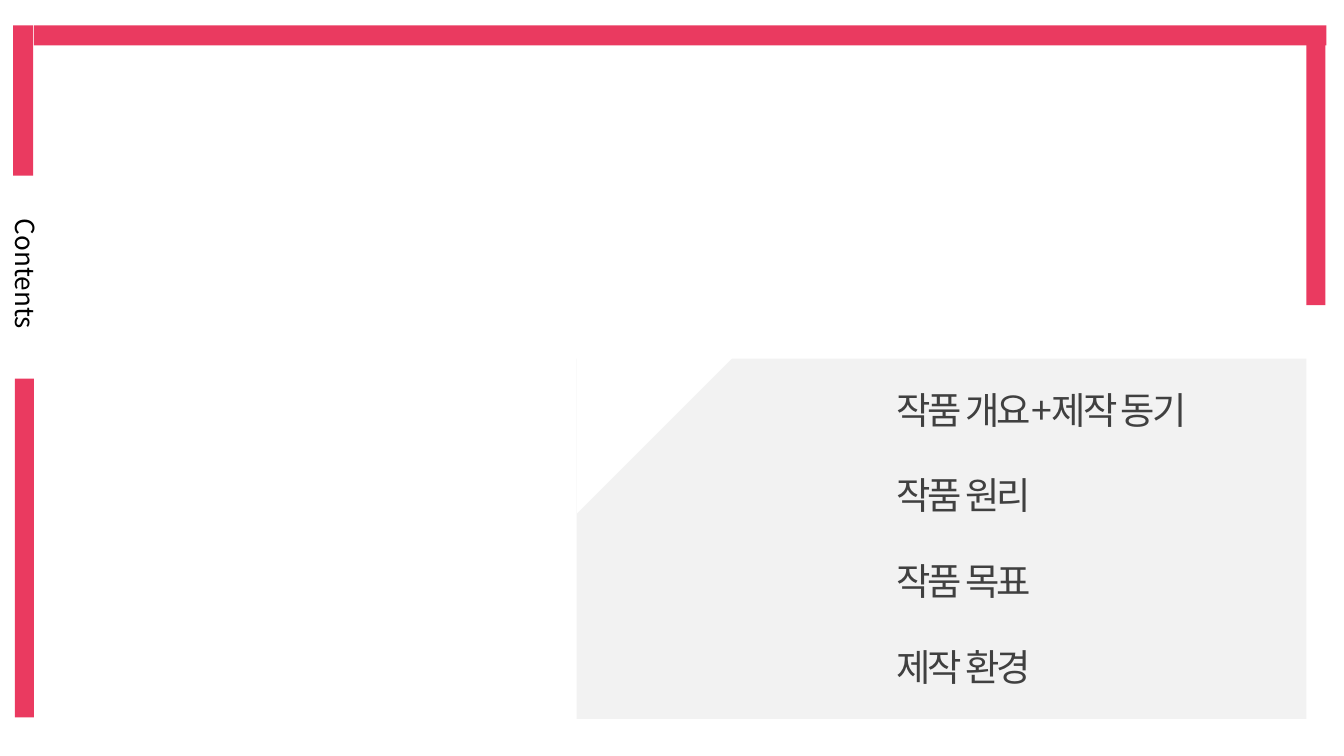
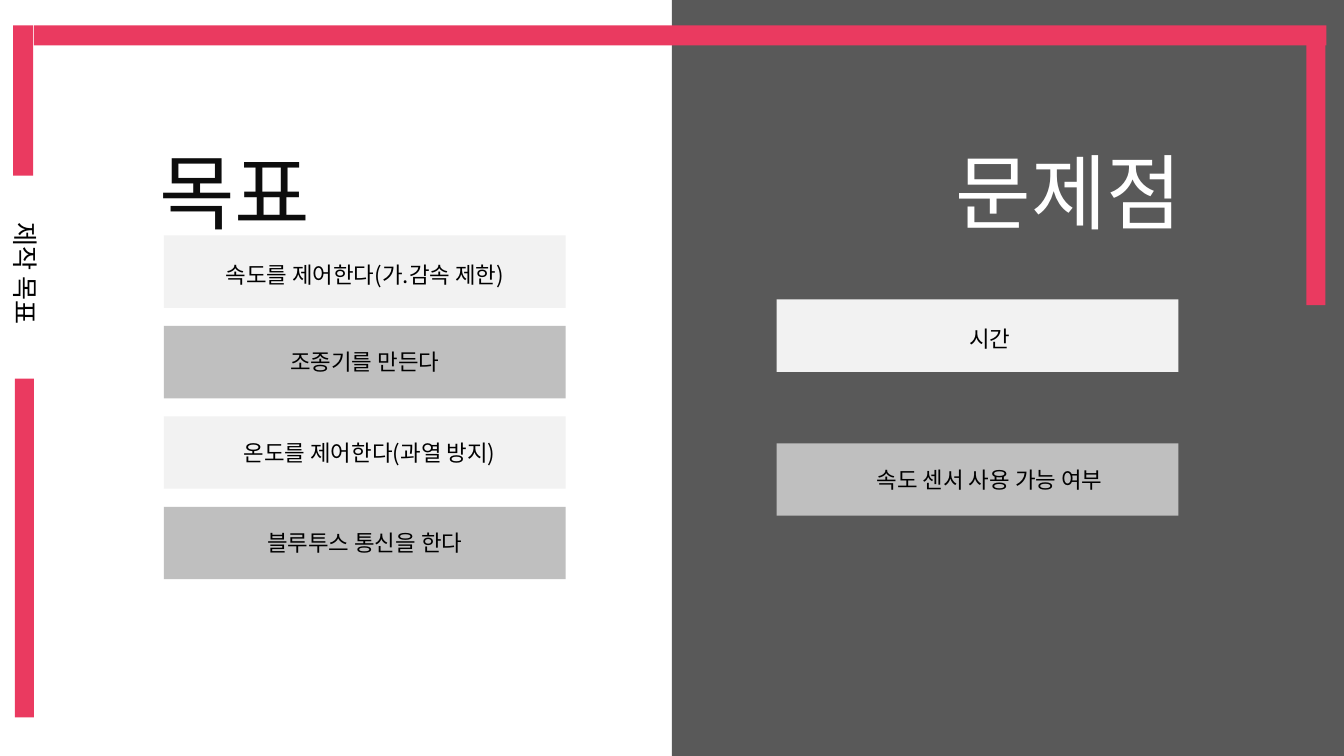
from pptx import Presentation
from pptx.dml.color import RGBColor as Rgb
from pptx.enum.shapes import MSO_SHAPE as Kind
from pptx.enum.text import MSO_AUTO_SIZE as Fit, PP_ALIGN as Align
from pptx.oxml.ns import qn
from pptx.util import Cm, Pt
from lxml import etree

FONT = "Noto Sans CJK KR"
HUES = {
    "pink": "EA3A60", "pale": "F2F2F2", "mid": "BFBFBF", "dark": "595959",
    "white": "FFFFFF", "black": "000000", "ink": "0D0D0D", "text": "404040",
}


def block(slide, x, y, w, h, hue, kind=Kind.RECTANGLE, turn=0):
    shape = slide.shapes.add_shape(kind, Cm(x), Cm(y), Cm(w), Cm(h))
    shape.shadow.inherit = False
    shape.fill.solid()
    shape.fill.fore_color.rgb = Rgb.from_string(HUES[hue])
    shape.line.fill.background()
    shape.rotation = turn


def label(slide, x, y, w, h, words, size, hue, align=Align.CENTER, turn=0, tight=0):
    box = slide.shapes.add_textbox(Cm(x), Cm(y), Cm(w), Cm(h))
    box.rotation = turn
    frame = box.text_frame
    frame.word_wrap = True
    frame.auto_size = Fit.SHAPE_TO_FIT_TEXT
    par = frame.paragraphs[0]
    par.alignment = align
    run = par.add_run()
    run.text = words
    run.font.name = FONT
    run.font.size = Pt(size)
    run.font.color.rgb = Rgb.from_string(HUES[hue])
    props = run.font._element
    etree.SubElement(props, qn("a:ea")).set("typeface", FONT)
    if tight:
        props.set("spc", str(int(tight * 100)))


deck = Presentation()
deck.slide_width, deck.slide_height = Cm(25.4), Cm(14.29)
blank = deck.slide_layouts[6]
index = deck.slides.add_slide(blank)
goals = deck.slides.add_slide(blank)

# Contents: grey panel with a cut corner, and the list
block(index, 10.9, 6.78, 13.79, 6.81, "pale")
block(index, 10.9, 6.71, 3, 3, "white", Kind.RIGHT_TRIANGLE, 90)
topics = ["작품 개요+제작 동기", "작품 원리", "작품 목표", "제작 환경"]
for i, topic in enumerate(topics):
    label(index, 16.69, 7.19 + 1.62 * i, 9.6, 1.12, topic, 20, "text",
          Align.LEFT, tight=-1.5)

# Goals and problems: dark right half
block(goals, 12.7, -0.46, 14.4, 15.39, "dark")

# Each column: title, its left and hue, bars' left, top and step,
# then the items with text width and shift from the bar's centre
columns = [
    ("목표", 0.74, "ink", 3.1, 4.45, 1.71, [
        ("속도를 제어한다(가.감속 제한)", 6.4, 0),
        ("조종기를 만든다", 5.21, 0),
        ("온도를 제어한다(과열 방지)", 5.79, 0.09),
        ("블루투스 통신을 한다", 5.21, 0),
    ]),
    ("문제점", 16.51, "white", 14.68, 5.66, 2.72, [
        ("시간", 5.21, 0.23),
        ("속도 센서 사용 가능 여부", 5.21, 0.23),
    ]),
]
wide, high = 7.59, 1.37
for title, left, hue, x, top, step, items in columns:
    label(goals, left, 2.54, 7.39, 2.13, title, 44, hue)
    for i, (words, w, shift) in enumerate(items):
        y = top + step * i
        block(goals, x, y, wide, high, "mid" if i % 2 else "pale")
        drop = 0.3 if i else 0.36
        label(goals, x + (wide - w) / 2 + shift, y + drop, w, 0.76, words, 12, "black")

# Shared pink frame and upright side title
edges = [
    (0.25, 0.48, 0.38, 2.84),
    (0.28, 7.16, 0.36, 6.4),
    (0.64, 0.48, 24.43, 0.38),
    (24.69, 0.61, 0.36, 5.16),
]
for slide, name in [(index, "Contents"), (goals, "제작 목표")]:
    label(slide, -1.7, 4.75, 4.37, 0.86, name, 14, "black", turn=90)
    for edge in edges:
        block(slide, *edge, "pink")

deck.save("out.pptx")
